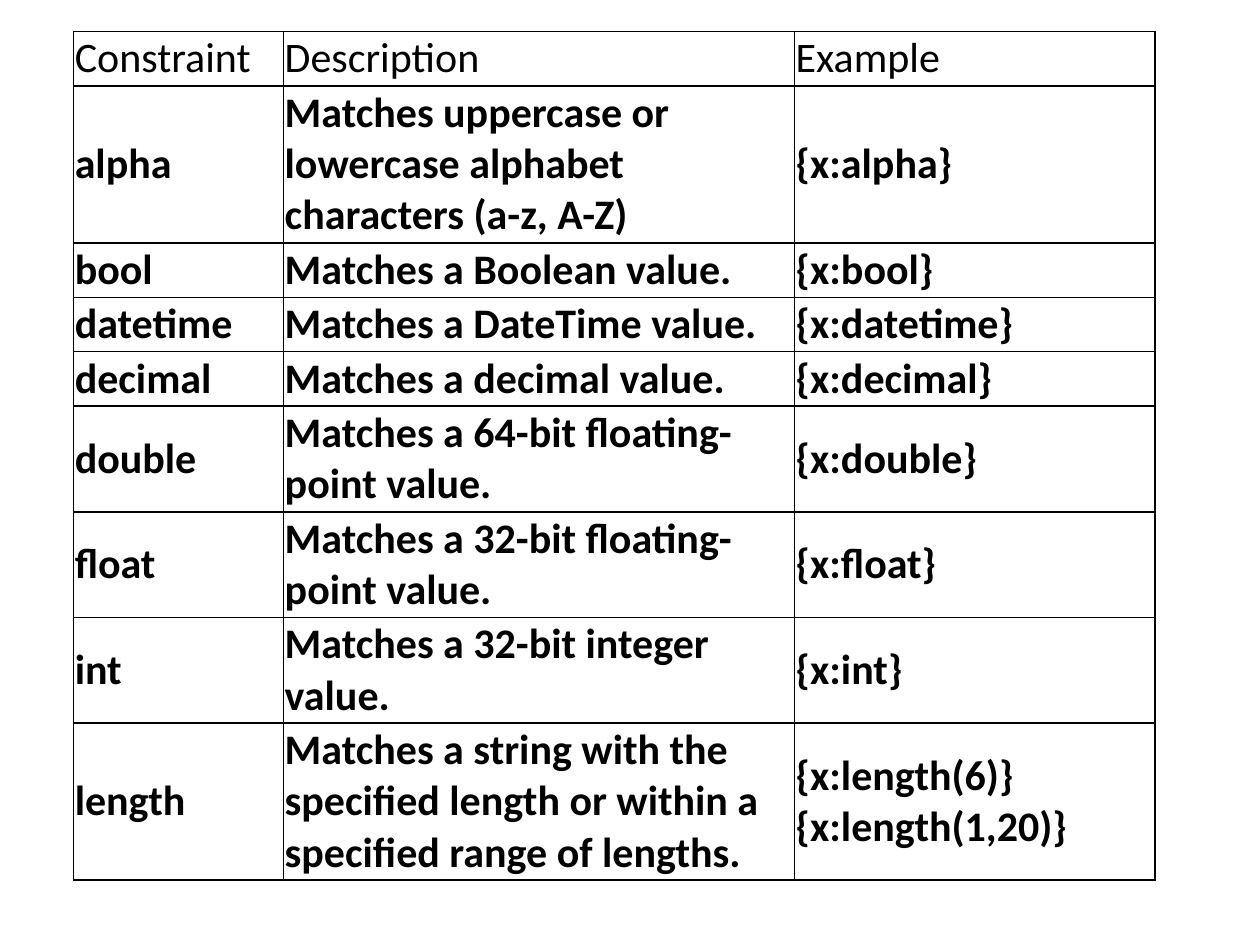
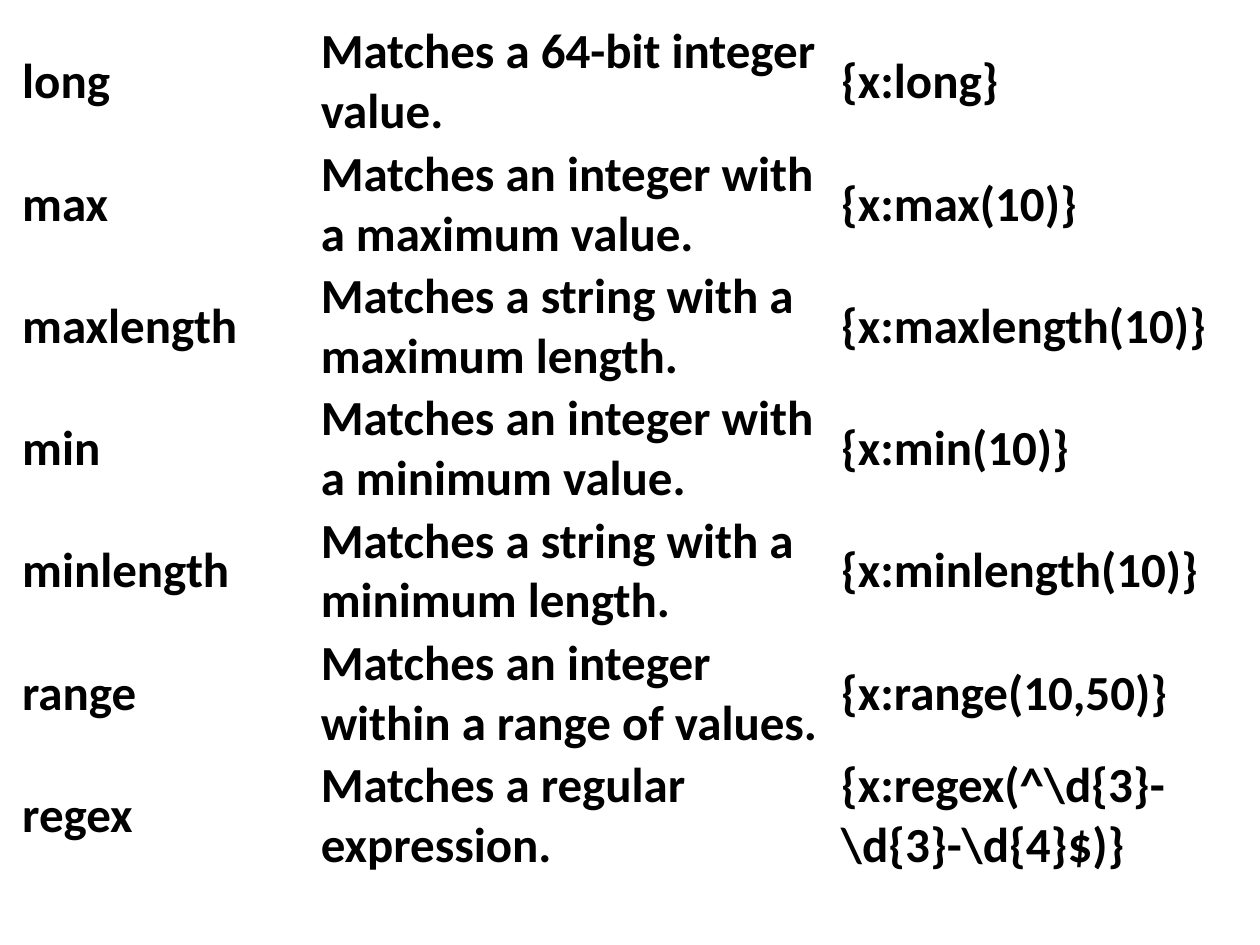
import dataclasses

import lxml.etree
import pptx
import pptx.dml.color
import pptx.enum.text
import pptx.oxml.ns
import pptx.util

Pt = pptx.util.Pt


@dataclasses.dataclass(frozen=True)
class Theme:
    font: str = "Calibri"
    ink: str = "000000"
    compact_size: float = 24
    large_size: float = 28
    border_width: float = 1
    cell_inset: float = 0.72


def write_text(frame, text, *, size, font, color, bold=False):
    para = frame.paragraphs[0]
    para.text = text
    for span in para.runs:
        span.font.size = Pt(size)
        span.font.name = font
        span.font.bold = bold
        span.font.color.rgb = pptx.dml.color.RGBColor.from_string(color)


class SlideBuilder:
    def __init__(self, deck, theme):
        self.deck = deck
        self.theme = theme
        self.slide = None

    def new_slide(self):
        self.slide = self.deck.slides.add_slide(self.deck.slide_layouts[6])

    def border(self, cell, visible):
        properties = cell._tc.get_or_add_tcPr()
        qn = pptx.oxml.ns.qn
        for side in ("a:lnL", "a:lnR", "a:lnT", "a:lnB"):
            line = lxml.etree.SubElement(properties, qn(side))
            if visible:
                line.set("w", str(Pt(self.theme.border_width)))
                fill = lxml.etree.SubElement(line, qn("a:solidFill"))
                lxml.etree.SubElement(fill, qn("a:srgbClr"), val=self.theme.ink)
            else:
                lxml.etree.SubElement(line, qn("a:noFill"))

    def cell(self, cell, text, size, bold, bordered):
        inset = Pt(self.theme.cell_inset)
        cell.margin_left = cell.margin_right = inset
        cell.margin_top = cell.margin_bottom = inset
        cell.vertical_anchor = pptx.enum.text.MSO_ANCHOR.MIDDLE
        self.border(cell, bordered)
        cell.fill.background()
        write_text(cell.text_frame, text, size=size, bold=bold,
                   font=self.theme.font, color=self.theme.ink)

    def table(self, left, top, widths, heights, rows, size, header=False, bordered=False):
        frame = self.slide.shapes.add_table(
            len(rows), len(widths), Pt(left), Pt(top), Pt(sum(widths)), Pt(sum(heights)))
        table = frame.table
        table.first_row = header
        table.horz_banding = False
        for column, width in zip(table.columns, widths):
            column.width = Pt(width)
        for row, height in zip(table.rows, heights):
            row.height = Pt(height)
        for row_index, texts in enumerate(rows):
            bold = not (header and row_index == 0)
            for column_index, text in enumerate(texts):
                self.cell(table.cell(row_index, column_index), text, size, bold, bordered)


BASIC_CONSTRAINTS = [
    ("Constraint", "Description", "Example"),
    ("alpha", "Matches uppercase or lowercase alphabet characters (a-z, A-Z)", "{x:alpha}"),
    ("bool", "Matches a Boolean value.", "{x:bool}"),
    ("datetime", "Matches a\u00a0DateTime\u00a0value.", "{x:datetime}"),
    ("decimal", "Matches a decimal value.", "{x:decimal}"),
    ("double", "Matches a 64-bit floating-point value.", "{x:double}"),
    ("float", "Matches a 32-bit floating-point value.", "{x:float}"),
    ("int", "Matches a 32-bit integer value.", "{x:int}"),
    ("length", "Matches a string with the specified length or within a specified range of lengths.",
     "{x:length(6)}\u00a0\v{x:length(1,20)}"),
]
BASIC_LINE_COUNTS = [1, 3, 1, 1, 1, 2, 2, 2, 3]
LINE_HEIGHT = 29.3
ROW_PADDING = 1.8

RANGE_CONSTRAINTS = [
    ("long", "Matches a 64-bit integer value.", "{x:long}"),
    ("max", "Matches an integer with a maximum value.", "{x:max(10)}"),
    ("maxlength", "Matches a string with a maximum length.", "{x:maxlength(10)}"),
    ("min", "Matches an integer with a minimum value.", "{x:min(10)}"),
    ("minlength", "Matches a string with a minimum length.", "{x:minlength(10)}"),
    ("range", "Matches an integer within a range of values.", "{x:range(10,50)}"),
    ("regex", "Matches a regular expression.", r"{x:regex(^\d{3}-\d{3}-\d{4}$)}"),
]
RANGE_ROW_HEIGHT = 69


def main():
    deck = pptx.Presentation()
    deck.slide_width = Pt(720)
    deck.slide_height = Pt(540)
    theme = Theme()
    builder = SlideBuilder(deck, theme)

    builder.new_slide()
    builder.table(42, 18, [120, 292, 206],
                  [count * LINE_HEIGHT + ROW_PADDING for count in BASIC_LINE_COUNTS],
                  BASIC_CONSTRAINTS, theme.compact_size, header=True, bordered=True)

    builder.new_slide()
    builder.table(12, 12, [170.6, 297.4, 234],
                  [RANGE_ROW_HEIGHT] * len(RANGE_CONSTRAINTS),
                  RANGE_CONSTRAINTS, theme.large_size)

    deck.save("out.pptx")


main()
